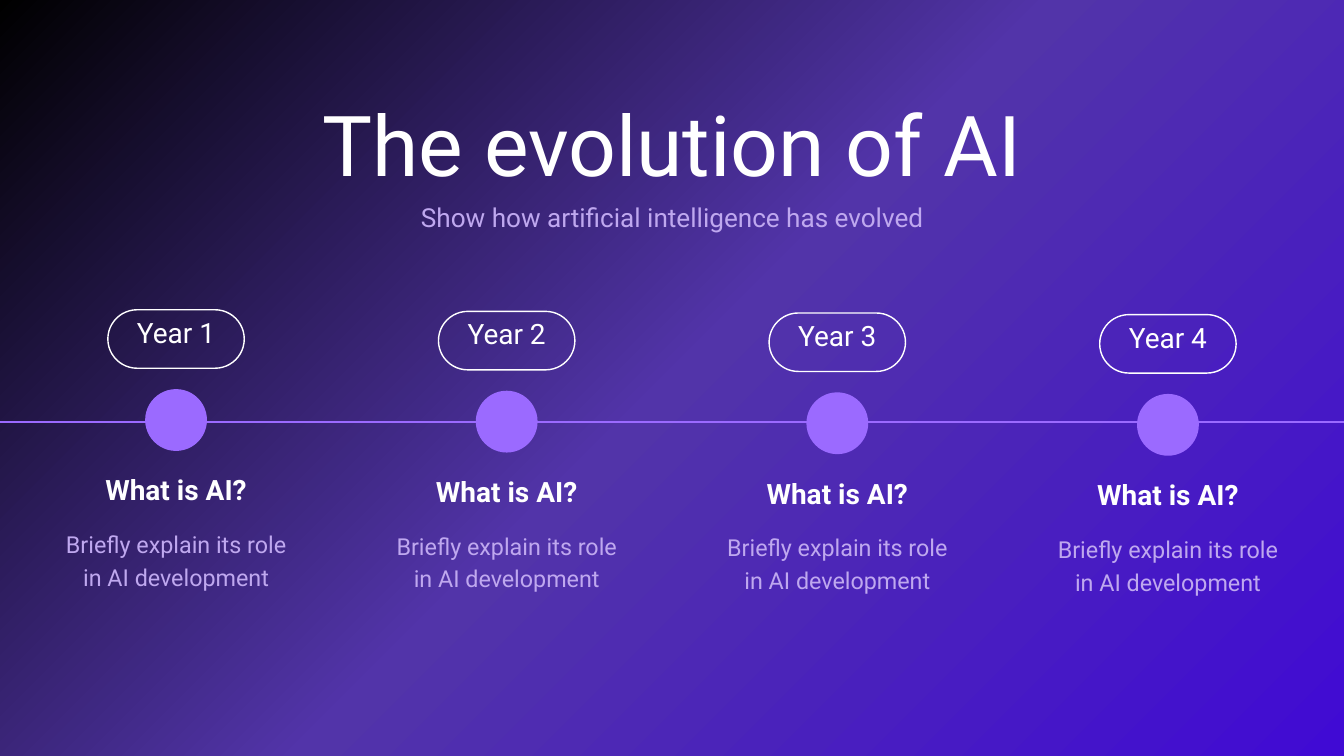
from copy import deepcopy
from lxml import etree
from pptx import Presentation, util as u
from pptx.dml.color import RGBColor
from pptx.enum import shapes, text
from pptx.oxml.ns import qn

WHITE = RGBColor(0xFF, 0xFF, 0xFF)
LILAC = RGBColor(0xBF, 0xA8, 0xEF)
VIOLET = RGBColor(0x9B, 0x6A, 0xFF)
BLACK = RGBColor(0, 0, 0)
PURPLE = RGBColor(0x52, 0x34, 0xA9)
INDIGO = RGBColor(0x40, 0x0A, 0xD4)
FONT = "Roboto"
WIDE, HIGH = 20, 11.25

TITLE = "The evolution of AI"
SUB = "Show how artificial intelligence has evolved"
STEPS = [
    ("Year 1", "What is AI?", "Briefly explain its role in AI development"),
    ("Year 2", "What is AI?", "Briefly explain its role in AI development"),
    ("Year 3", "What is AI?", "Briefly explain its role in AI development"),
    ("Year 4", "What is AI?", "Briefly explain its role in AI development"),
]
FIRST, PITCH, DROP = 2.62, 4.92, 0.024
AXIS = 6.28

deck = Presentation()
deck.slide_width, deck.slide_height = u.Inches(WIDE), u.Inches(HIGH)
slide = deck.slides.add_slide(deck.slide_layouts[6])


def place(mid, top, wide, high):
    return [u.Inches(v) for v in (mid - wide / 2, top, wide, high)]


def write(words, mid, top, wide, high, size, lead, color=WHITE, bold=False,
          inset=0, anchor=text.MSO_ANCHOR.TOP):
    frame = slide.shapes.add_textbox(*place(mid, top, wide, high)).text_frame
    frame.word_wrap = True
    frame.vertical_anchor = anchor
    frame.margin_left = frame.margin_right = u.Inches(inset)
    frame.margin_top = frame.margin_bottom = u.Inches(inset)
    para = frame.paragraphs[0]
    para.text = words
    para.alignment = text.PP_ALIGN.CENTER
    para.line_spacing = u.Pt(lead)
    font = para.font
    font.name, font.size, font.bold = FONT, u.Pt(size), bold
    font.color.rgb = color


def draw(kind, mid, top, wide, high):
    shape = slide.shapes.add_shape(kind, *place(mid, top, wide, high))
    shape.shadow.inherit = False
    return shape


def paint():
    fill = slide.background.fill
    fill.gradient()
    fill.gradient_angle = 315
    stops = slide.element.find(".//" + qn("a:gsLst"))
    stops.insert(1, deepcopy(stops[0]))
    for stop, color, share in zip(fill.gradient_stops,
                                  (BLACK, PURPLE, INDIGO), (0, 0.5, 1)):
        stop.color.rgb = color
        stop.position = share


def rule():
    line = slide.shapes.add_connector(
        shapes.MSO_CONNECTOR.STRAIGHT, 0, u.Inches(AXIS),
        u.Inches(WIDE), u.Inches(AXIS))
    line.line.color.rgb = VIOLET
    line.line.width = u.Pt(3)
    etree.SubElement(line.element.spPr, qn("a:effectLst"))


def step(mid, down, year, head, body):
    dot = draw(shapes.MSO_SHAPE.OVAL, mid, 5.79 + down, 0.92, 0.92)
    dot.fill.solid()
    dot.fill.fore_color.rgb = VIOLET
    dot.line.fill.background()
    pill = draw(shapes.MSO_SHAPE.ROUNDED_RECTANGLE, mid, 4.61 + down, 2.03, 0.87)
    pill.adjustments[0] = 0.5
    pill.fill.background()
    pill.line.color.rgb = WHITE
    pill.line.width = u.Pt(1.5)
    write(year, mid, 4.33 + down, 2.03, 1.14, 30, 42, inset=0.06,
          anchor=text.MSO_ANCHOR.MIDDLE)
    write(head, mid, 7.1 + down, 2.24, 0.46, 30, 31.5, bold=True)
    write(body, mid, 7.82 + down, 3.54, 0.94, 25, 35, color=LILAC)


paint()
rule()
for i, words in enumerate(STEPS):
    step(FIRST + i * PITCH, i * DROP, *words)
write(TITLE, WIDE / 2, 1.57, 10.73, 1.36, 90, 94.5)
write(SUB, WIDE / 2, 2.92, 7.75, 0.53, 28, 39.2, color=LILAC)
deck.save("out.pptx")
